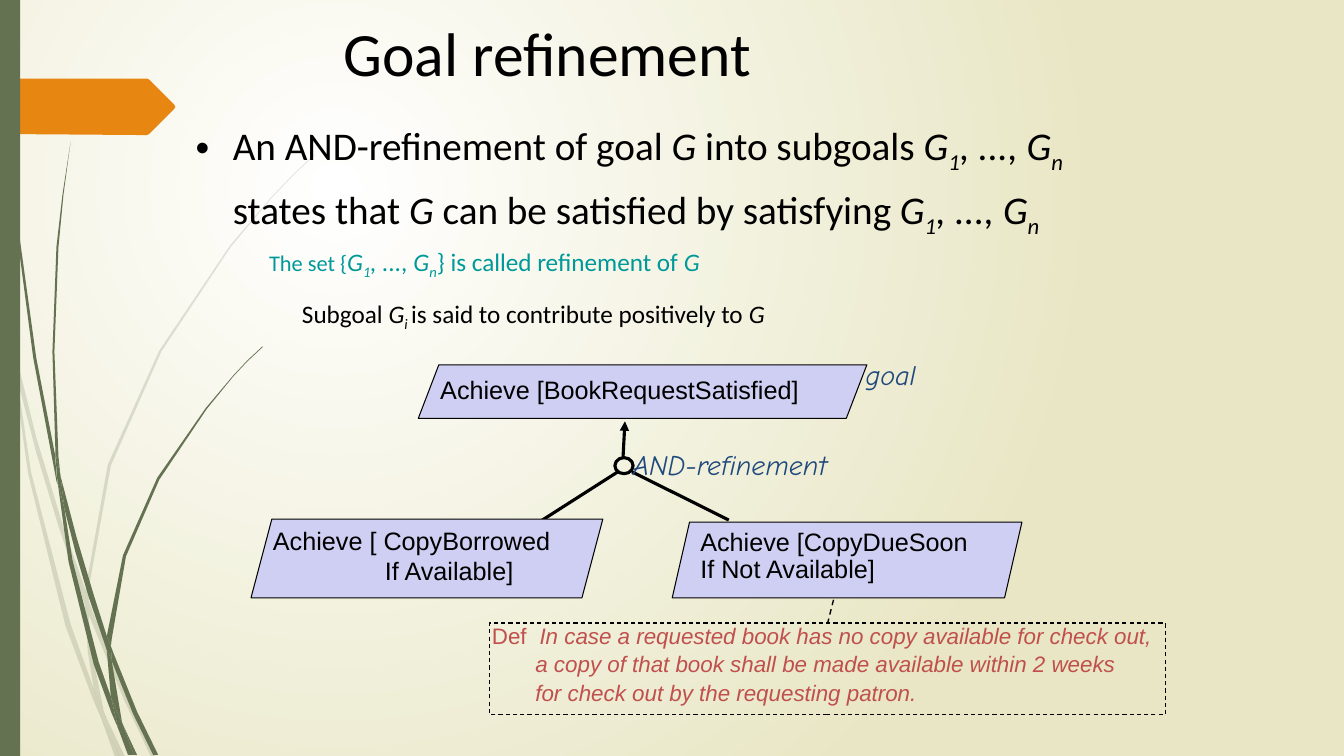
"""Build the goal refinement slide with its AND-refinement diagram."""
from lxml import etree
from pptx import Presentation
from pptx.dml.color import RGBColor
from pptx.enum.dml import MSO_LINE
from pptx.enum.shapes import MSO_CONNECTOR, MSO_SHAPE
from pptx.enum.text import MSO_ANCHOR, MSO_AUTO_SIZE, PP_ALIGN
from pptx.oxml.ns import qn
from pptx.util import Pt

BLACK = RGBColor(0x00, 0x00, 0x00)
WHITE = RGBColor(0xFF, 0xFF, 0xFF)
CREAM = RGBColor(0xE8, 0xE6, 0xC4)
GREEN = RGBColor(0x64, 0x72, 0x52)
ORANGE = RGBColor(0xE7, 0x87, 0x12)
TEAL = RGBColor(0x00, 0x99, 0x99)
LILAC = RGBColor(0xCE, 0xCF, 0xF2)
RED = RGBColor(0xC0, 0x50, 0x4D)
NAVY = RGBColor(0x1F, 0x49, 0x7D)
STRAIGHT = MSO_CONNECTOR.STRAIGHT
DASH = MSO_LINE.DASH
TOP, MIDDLE = MSO_ANCHOR.TOP, MSO_ANCHOR.MIDDLE
FIT_SHAPE, NO_FIT = MSO_AUTO_SIZE.SHAPE_TO_FIT_TEXT, MSO_AUTO_SIZE.NONE
LEFT, JUSTIFY = PP_ALIGN.LEFT, PP_ALIGN.JUSTIFY
UNIT = Pt(0.72)


def add_run(paragraph, text, size=18, color=BLACK, font="Arial", italic=False, baseline=0):
    run = paragraph.add_run()
    run.text = text
    run.font.size = Pt(size)
    run.font.name = font
    run.font.italic = italic
    run.font.color.rgb = color
    if baseline:
        run._r.get_or_add_rPr().set("baseline", str(baseline))


def style_shape(shape, fill=None, line=None, width=0.75):
    shape.shadow.inherit = False
    if fill is None:
        shape.fill.background()
    else:
        shape.fill.solid()
        shape.fill.fore_color.rgb = fill
    if line is None:
        shape.line.fill.background()
    else:
        shape.line.color.rgb = line
        shape.line.width = Pt(width)


presentation = Presentation()
presentation.slide_width, presentation.slide_height = Pt(960), Pt(540)
slide = presentation.slides.add_slide(presentation.slide_layouts[1])
shapes = slide.shapes

background = slide.background.fill
background.gradient()
for stop, color in zip(background.gradient_stops, (WHITE, CREAM)):
    stop.color.rgb = color
gradient = slide._element.find(".//" + qn("a:gradFill"))
gradient.remove(gradient.find(qn("a:lin")))
gradient_shape = etree.SubElement(gradient, qn("a:path"), {"path": "circle"})
etree.SubElement(gradient_shape, qn("a:fillToRect"),
                 {"l": "50000", "t": "50000", "r": "100000", "b": "100000"})

pale_wisps = [
    [(11, 350), (9, 322), (0, 282), (0, 299), (10, 344)],
    [(58, 522), (84, 599), (85, 586), (62, 520), (36, 434), (14, 345), (17, 376), (36, 449)],
    [(92, 607), (88, 596), (88, 610), (123, 694), (150, 751), (155, 751), (127, 692)],
    [(119, 751), (124, 751), (105, 711)],
    [(93, 683), (70, 619), (31, 469), (17, 376), (11, 350), (28, 470), (65, 621), (92, 693),
     (101, 714), (99, 707)],
    [(84, 599), (87, 646), (93, 683), (96, 692), (105, 711), (103, 706), (91, 646), (88, 610),
     (88, 608)],
    [(88, 584), (110, 462), (160, 349), (229, 245), (268, 198), (290, 175), (312, 154),
     (312, 153), (289, 175), (268, 197), (228, 244), (158, 348), (107, 461), (85, 584),
     (85, 586), (88, 596)],
    [(101, 714), (114, 751), (119, 751)],
    [(88, 608), (88, 610), (88, 596), (85, 586), (84, 599)],
    [(96, 692), (93, 683), (99, 707), (101, 714), (119, 751), (105, 711)],
]
dark_wisps = [
    [(7, 110), (17, 233), (33, 355), (56, 477), (57, 481), (55, 457), (55, 453), (36, 355),
     (19, 232), (8, 109), (5, 48), (4, 0), (3, 0), (4, 48)],
    [(88, 592), (106, 645), (106, 633), (106, 631), (93, 590), (76, 533), (60, 472), (64, 505),
     (75, 548)],
    [(113, 649), (110, 641), (111, 656), (132, 708), (152, 749), (157, 749), (136, 706)],
    [(110, 691), (98, 657), (72, 556), (64, 505), (57, 477), (68, 557), (93, 659), (111, 708),
     (117, 722), (116, 717)],
    [(60, 472), (58, 453), (54, 349), (58, 245), (63, 193), (70, 141), (62, 193), (56, 245),
     (52, 349), (55, 449)],
    [(133, 749), (136, 749), (122, 719)],
    [(57, 477), (64, 505), (60, 472), (55, 449), (55, 453)],
    [(111, 633), (125, 552), (158, 476), (205, 406), (231, 374), (245, 359), (261, 344),
     (260, 344), (245, 358), (231, 373), (204, 405), (156, 474), (122, 551), (106, 631),
     (110, 641)],
    [(117, 722), (127, 749), (131, 749)],
    [(106, 645), (110, 691), (116, 706), (122, 719), (121, 716), (111, 656), (109, 651)],
    [(106, 645), (109, 651), (111, 656), (110, 641), (106, 631), (106, 633)],
    [(116, 706), (110, 691), (116, 717), (117, 722), (130, 749), (133, 749), (122, 719)],
]
marker = [(173, 108), (148, 133), (146, 134), (136, 134), (0, 133), (0, 78), (146, 78),
          (148, 79), (173, 104), (174, 106)]
for outlines, color, opacity in ((pale_wisps, GREEN, 20), (dark_wisps, GREEN, 100),
                                 ([marker], ORANGE, 100)):
    for outline in outlines:
        builder = shapes.build_freeform(*outline[0], scale=UNIT)
        builder.add_line_segments(outline[1:], close=True)
        shape = builder.convert_to_shape()
        style_shape(shape, color)
        if opacity < 100:
            solid = shape._element.spPr.find(".//" + qn("a:srgbClr"))
            etree.SubElement(solid, qn("a:alpha"), {"val": str(opacity * 1000)})
style_shape(shapes.add_shape(MSO_SHAPE.RECTANGLE, 0, 0, Pt(14.4), Pt(540)), GREEN)

title, body = shapes.title, slide.placeholders[1]
for placeholder, box, anchor in ((title, (238.3, 7.2, 459.4, 59.8), MIDDLE),
                                 (body, (132.5, 75.6, 697, 152.6), TOP)):
    shapes._spTree.append(placeholder._element)
    placeholder.left, placeholder.top, placeholder.width, placeholder.height = map(Pt, box)
    placeholder.text_frame.vertical_anchor = anchor
    placeholder.text_frame.auto_size = NO_FIT
title.text_frame.paragraphs[0].alignment = LEFT
add_run(title.text_frame.paragraphs[0], "Goal refinement", size=44, font="Calibri")

ROMAN, ITALIC, SUBSCRIPT = {}, {"italic": True}, {"italic": True, "baseline": -25000}
subgoals = [("G", ITALIC), ("1", SUBSCRIPT), (", ..., G", ITALIC), ("n", SUBSCRIPT)]
statements = [
    (28, BLACK, 26.6, -26.6, 1.2, 0,
     [("An AND-refinement of goal ", ROMAN), ("G", ITALIC), (" into subgoals ", ROMAN),
      *subgoals, (" states that ", ROMAN), ("G", ITALIC),
      (" can be satisfied by satisfying ", ROMAN), *subgoals]),
    (18, TEAL, 52.5, 0, 1, 5,
     [("The set {", {"size": 16}), *subgoals, ("} is called refinement of ", ROMAN),
      ("G", ITALIC)]),
    (18, BLACK, 76, 0, 1.3, 5,
     [("Subgoal ", ROMAN), ("G", ITALIC), ("i ", SUBSCRIPT),
      ("is said to contribute positively to ", ROMAN), ("G", ITALIC)]),
]
for index, (size, color, margin, indent, spacing, before, runs) in enumerate(statements):
    frame = body.text_frame
    paragraph = frame.add_paragraph() if index else frame.paragraphs[0]
    properties = paragraph._p.get_or_add_pPr()
    properties.set("marL", str(Pt(margin)))
    properties.set("indent", str(Pt(indent)))
    if index:
        etree.SubElement(properties, qn("a:buNone"))
    paragraph.line_spacing, paragraph.space_before = spacing, Pt(before)
    for text, text_format in runs:
        add_run(paragraph, text, **{"size": size, "color": color, "font": "Calibri", **text_format})

definition = shapes.add_shape(MSO_SHAPE.RECTANGLE, Pt(350), Pt(445), Pt(482.4), Pt(65.5))
style_shape(definition, line=BLACK)
definition.line.dash_style = DASH

links = [(441.4, 337, 387.4, 371.5, 2.25), (451.4, 337, 520.6, 371.5, 2.25),
         (445, 327.6, 446.4, 301, 2.25), (595.4, 428.4, 591.2, 445, 1)]
connectors = []
for *ends, width in links:
    connector = shapes.add_connector(STRAIGHT, *map(Pt, ends))
    connector.line.color.rgb = BLACK
    connector.line.width = Pt(width)
    etree.SubElement(connector._element.spPr, qn("a:effectLst"))
    connectors.append(connector)
etree.SubElement(connectors[2].line._get_or_add_ln(), qn("a:tailEnd"), {"type": "triangle"})
connectors[3].line.dash_style = DASH
connectors[3].end_connect(definition, 0)

goals = [
    ((298.8, 260.6, 320.4, 38.2), 0.384, (307.4, 263.5, 307.4, 31),
     [("Achieve [BookRequestSatisfied]", 1, 0)]),
    ((179.3, 370.8, 251.3, 56.2), 0.265, (187.9, 375.8, 234.7, 39.6),
     [("Achieve [ CopyBorrowed", 0.8, 0), ("If Available]", 1, 80)]),
    ((480.2, 373, 249.8, 54), 0.229, (493.2, 376.6, 228.2, 46.8),
     [("Achieve [CopyDueSoon", 0.8, 0), ("If Not Available]", 0.9, 0)]),
]
for outline, slant, text_area, lines in goals:
    shape = shapes.add_shape(MSO_SHAPE.PARALLELOGRAM, *map(Pt, outline))
    shape.adjustments[0] = slant
    style_shape(shape, LILAC, BLACK)
    frame = shapes.add_textbox(*map(Pt, text_area)).text_frame
    frame.word_wrap = True
    for index, (text, spacing, margin) in enumerate(lines):
        paragraph = frame.add_paragraph() if index else frame.paragraphs[0]
        paragraph._p.get_or_add_pPr().set("marL", str(Pt(margin)))
        paragraph.line_spacing = spacing
        add_run(paragraph, text)
refinement = shapes.add_shape(MSO_SHAPE.OVAL, Pt(439.2), Pt(326.9), Pt(13), Pt(11.5))
style_shape(refinement, line=BLACK, width=2.25)

frame = definition.text_frame
frame.word_wrap, frame.vertical_anchor = True, TOP
frame.margin_left = frame.margin_right = frame.margin_top = Pt(1.44)
frame.margin_bottom = 0
definition_lines = ["In case a requested book has no copy available for check out,",
                    "a copy of that book shall be made available within 2 weeks",
                    "for check out by the requesting patron."]
for index, text in enumerate(definition_lines):
    paragraph = frame.add_paragraph() if index else frame.paragraphs[0]
    properties = paragraph._p.get_or_add_pPr()
    if index:
        properties.set("marL", str(Pt(31)))
    else:
        tabs = etree.SubElement(properties, qn("a:tabLst"))
        etree.SubElement(tabs, qn("a:tab"), {"pos": str(Pt(34)), "algn": "l"})
        add_run(paragraph, "Def\t", size=16, color=RED)
    paragraph.alignment, paragraph.line_spacing = JUSTIFY, 0.9
    paragraph.space_before = Pt(3 if index else 0)
    add_run(paragraph, text, size=16, color=RED, italic=True)

for text, left, top, width in (("goal", 611.3, 251.3, 64), ("AND-refinement", 445, 316, 222)):
    frame = shapes.add_textbox(Pt(left), Pt(top), Pt(width), Pt(31.7)).text_frame
    frame.word_wrap, frame.vertical_anchor, frame.auto_size = True, MIDDLE, FIT_SHAPE
    add_run(frame.paragraphs[0], text, size=20, color=NAVY, font="Comic Neue", italic=True)

presentation.save("out.pptx")
